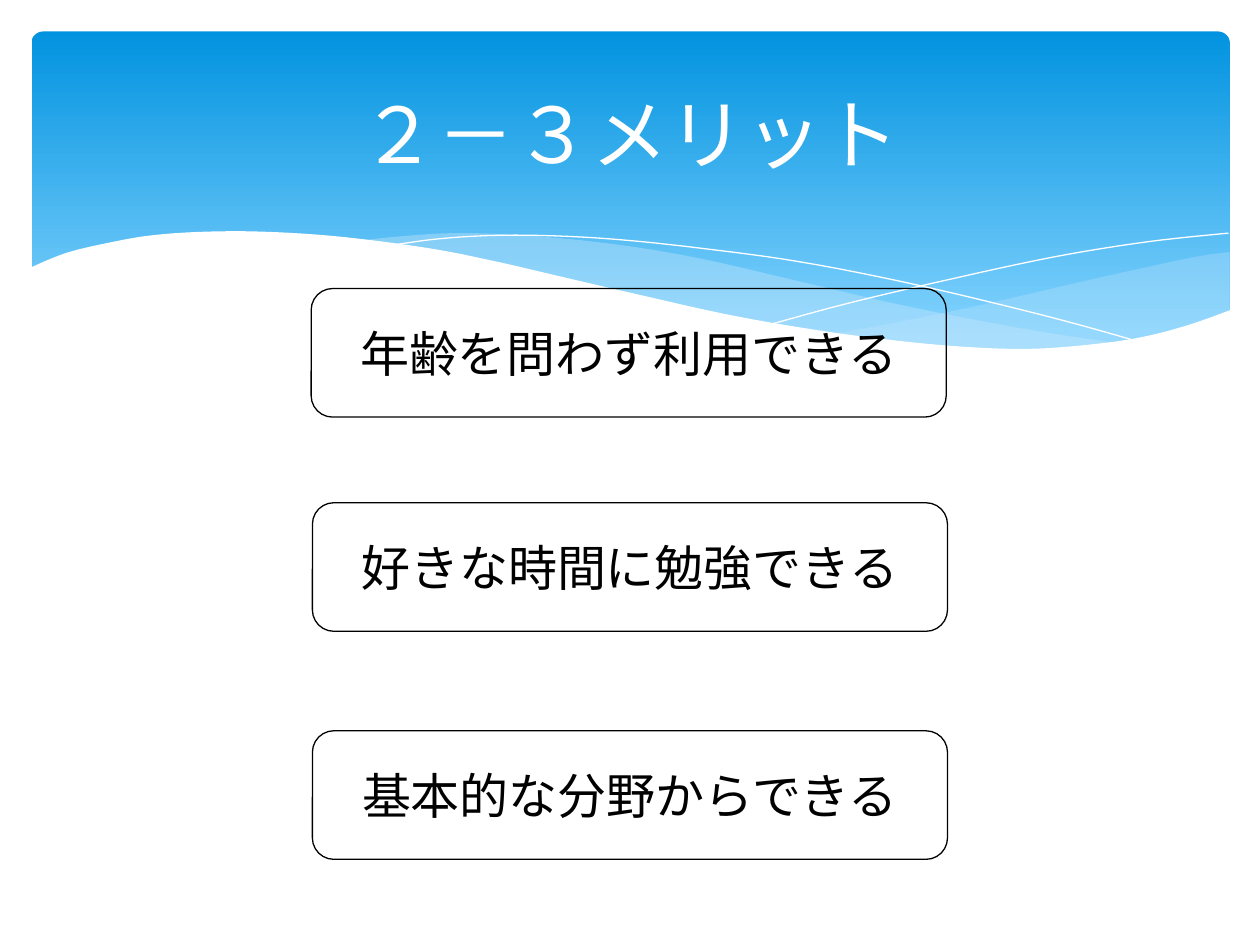
from dataclasses import dataclass
from typing import Any, Optional

from lxml.etree import SubElement
from pptx import Presentation
from pptx.dml.color import RGBColor
from pptx.enum.shapes import MSO_SHAPE
from pptx.enum.text import MSO_ANCHOR, PP_ALIGN
from pptx.oxml.ns import qn
from pptx.util import Inches, Pt

Point = tuple[float, float]
Run = list[Point]


@dataclass(frozen=True)
class Theme:
    """Colours, font and sizes of the slide."""
    white: RGBColor = RGBColor.from_string("FFFFFF")
    black: RGBColor = RGBColor.from_string("000000")
    deep: RGBColor = RGBColor.from_string("0293E0")
    sky: RGBColor = RGBColor.from_string("83D3FE")
    mist: RGBColor = RGBColor.from_string("C6E7FC")
    font: str = "Calibri"
    head: int = 44
    body: int = 28
    edge: float = 0.75


@dataclass(frozen=True)
class Wave:
    """Smooth runs of grid points, filled when a colour is given."""
    runs: list[Run]
    fill: Optional[RGBColor] = None
    alpha: int = 100


@dataclass(frozen=True)
class Merit:
    """A rounded box placed by grid column and row."""
    col: float
    row: float
    text: str


THEME = Theme()
WIDE, HIGH = Inches(10), Inches(7.5)
CELL = WIDE // 100
STEPS = 6
BOX = (50.4, 10.2)

WAVES = [
    Wave([[(97.6, 20), (94.8, 20.4), (90.6, 21.3), (86.1, 22.3), (77.9, 24.2),
           (70.6, 25.7), (66.1, 26.5)],
          [(66.1, 26.5), (70.5, 27.1), (75.7, 27.6), (80.3, 27.8), (84.4, 27.7),
           (88.1, 27.3), (91.3, 26.7), (94.2, 25.9), (97.6, 24.7)]],
         THEME.mist, 29),
    Wave([[(89.3, 27.3), (83.7, 26.5), (77.5, 25.4), (70.6, 24), (62.9, 22.2),
           (55.5, 20.5), (48.9, 19.4), (42, 18.7), (36.1, 18.5), (31.3, 18.8),
           (28.6, 19.1)],
          [(28.6, 19.1), (34.2, 19.9), (40.4, 21.1), (44.9, 22.2), (53, 24),
           (60.1, 25.5), (66.5, 26.6), (72.2, 27.4), (77.3, 27.7), (81.8, 27.8),
           (85.7, 27.7), (89.3, 27.3)]],
         THEME.mist, 40),
    Wave([[(30.9, 19.5), (34.4, 19), (38.7, 18.7), (43.3, 18.7), (48.9, 19),
           (55.6, 19.7), (63.6, 20.8), (72.7, 22.6), (83.1, 25.1), (90.7, 27.2)]]),
    Wave([[(61.3, 25.7), (67.2, 24.1), (74.8, 22.3), (83.6, 20.4), (91, 19.2),
           (97.5, 18.5)]]),
    Wave([[(97.7, 24.6), (94, 25.9), (89.9, 26.9), (85, 27.5), (80.9, 27.7),
           (76.1, 27.5), (70.8, 27), (64.8, 26.2), (57.9, 25), (50.3, 23.3),
           (44.7, 22), (39.1, 20.7), (34, 19.7), (27.1, 18.8), (21.1, 18.4),
           (16.1, 18.4), (11.9, 18.7), (8.5, 19.3), (5.2, 20.1), (2.3, 21.3)],
          [(2.3, 32.9), (97.7, 32.9)]],
         THEME.white),
]

MERITS = [
    Merit(24.7, 22.9, "年齢を問わず利用できる"),
    Merit(24.8, 39.9, "好きな時間に勉強できる"),
    Merit(24.8, 58, "基本的な分野からできる"),
]


def set_all(item: Any, vals: dict[str, Any]) -> None:
    """Set each named attribute of an item."""
    for name, val in vals.items():
        setattr(item, name, val)


def grid(*cells: float) -> list[int]:
    """Turn grid cells into lengths."""
    return [round(cell * CELL) for cell in cells]


def smooth(run: Run) -> Run:
    """Sample a Catmull-Rom curve through the points of a run."""
    if len(run) < 3:
        return run
    ends = [run[0], *run, run[-1]]
    out = [run[0]]
    for a, b, c, d in zip(ends, ends[1:], ends[2:], ends[3:]):
        for step in range(1, STEPS + 1):
            t = step / STEPS
            x, y = (
                b[i] + t / 2 * (c[i] - a[i]
                                + t * (2 * a[i] - 5 * b[i] + 4 * c[i] - d[i])
                                + t * t * (3 * (b[i] - c[i]) + d[i] - a[i]))
                for i in (0, 1))
            out.append((x, y))
    return out


def paint(shape: Any, color: RGBColor, alpha: int = 100) -> None:
    """Fill a shape with one colour at a given opacity."""
    shape.fill.solid()
    shape.fill.fore_color.rgb = color
    if alpha < 100:
        tone = shape.element.spPr.find(f".//{qn('a:srgbClr')}")
        SubElement(tone, qn("a:alpha"), val=str(alpha * 1000))


def stroke(shape: Any, color: RGBColor, width: float) -> None:
    """Draw the outline of a shape."""
    shape.line.color.rgb = color
    shape.line.width = Pt(width)


def write(shape: Any, text: str, size: int, color: RGBColor) -> None:
    """Put centred text in a shape."""
    frame = shape.text_frame
    set_all(frame, {"text": text, "word_wrap": True,
                    "vertical_anchor": MSO_ANCHOR.MIDDLE})
    para = frame.paragraphs[0]
    para.alignment = PP_ALIGN.CENTER
    font = para.runs[0].font
    set_all(font, {"name": THEME.font, "size": Pt(size)})
    font.color.rgb = color


def add_band(slide: Any) -> None:
    """Draw the graded band behind the title."""
    band = slide.shapes.add_shape(MSO_SHAPE.ROUNDED_RECTANGLE,
                                  *grid(2.5, 2.5, 95.1, 27))
    band.adjustments[0] = 0.034
    band.shadow.inherit = False
    band.line.fill.background()
    band.fill.gradient()
    band.fill.gradient_angle = 270
    tones = ((0, THEME.deep), (0.9, THEME.sky))
    for stop, (place, color) in zip(band.fill.gradient_stops, tones):
        stop.position = place
        stop.color.rgb = color


def add_wave(slide: Any, wave: Wave) -> None:
    """Draw a filled wave or a thin open curve."""
    dots = [grid(*dot) for run in wave.runs for dot in smooth(run)]
    pen = slide.shapes.build_freeform(*dots[0])
    pen.add_line_segments(dots[1:], close=wave.fill is not None)
    shape = pen.convert_to_shape()
    shape.shadow.inherit = False
    if wave.fill is None:
        shape.fill.background()
        stroke(shape, THEME.white, 0)
    else:
        paint(shape, wave.fill, wave.alpha)
        shape.line.fill.background()


def add_merit(slide: Any, merit: Merit) -> None:
    """Draw one outlined box with its merit."""
    box = slide.shapes.add_shape(MSO_SHAPE.ROUNDED_RECTANGLE,
                                 *grid(merit.col, merit.row, *BOX))
    box.shadow.inherit = False
    box.fill.background()
    stroke(box, THEME.black, THEME.edge)
    write(box, merit.text, THEME.body, THEME.black)


def add_title(slide: Any, text: str) -> None:
    """Place the title in front of the band."""
    title = slide.shapes.title
    left, top, width, height = grid(5, 3.7, 90, 13.7)
    set_all(title, {"left": left, "top": top, "width": width, "height": height})
    write(title, text, THEME.head, THEME.white)
    title.element.getparent().append(title.element)


def main() -> None:
    """Build and save the slide."""
    deck = Presentation()
    set_all(deck, {"slide_width": WIDE, "slide_height": HIGH})
    slide = deck.slides.add_slide(deck.slide_layouts[5])
    add_band(slide)
    for wave in WAVES:
        add_wave(slide, wave)
    add_title(slide, "２－３メリット")
    for merit in MERITS:
        add_merit(slide, merit)
    deck.save("out.pptx")


if __name__ == "__main__":
    main()
